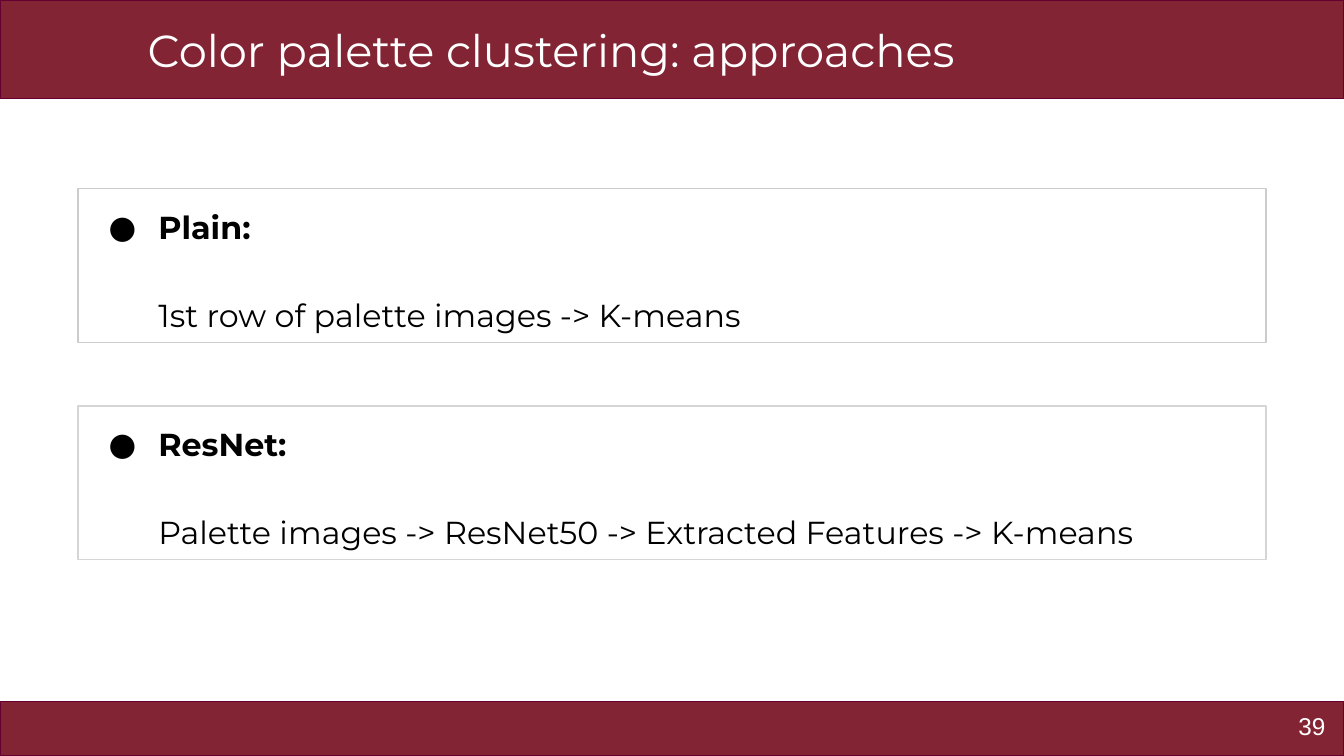
from dataclasses import dataclass

from lxml import etree
from pptx import Presentation
from pptx.dml.color import RGBColor
from pptx.enum.shapes import MSO_SHAPE
from pptx.enum.text import MSO_ANCHOR, PP_ALIGN
from pptx.oxml.ns import qn
from pptx.util import Emu, Pt

RECT = MSO_SHAPE.RECTANGLE
TOP, MIDDLE = MSO_ANCHOR.TOP, MSO_ANCHOR.MIDDLE
LEFT, RIGHT = PP_ALIGN.LEFT, PP_ALIGN.RIGHT

MAROON = RGBColor(0x82, 0x24, 0x33)
PLUM = RGBColor(0x66, 0x00, 0x32)
GREY = RGBColor(0xCC, 0xCC, 0xCC)
LIGHT_GREY = RGBColor(0xD5, 0xD5, 0xD5)
BLACK = RGBColor(0, 0, 0)
WHITE = RGBColor(0xFF, 0xFF, 0xFF)

EMU_PER_PX = 4572  # 200 px to the inch
WIDTH, HEIGHT = 2000, 1125
HEADER_H, FOOTER_H = 147, 81
INSET = 20
TITLE_INDENT, TEXT_INDENT, BULLET_HANG = 200, 100, 74
CARD_X, CARD_TOP, CARD_W, CARD_H, CARD_STEP = 116, 281, 1768, 229, 323

TITLE = {"name": "Montserrat", "size": Pt(24), "color": WHITE}
NUMBER = {"name": "Arial", "size": Pt(13), "color": WHITE}
BODY = {"name": "Montserrat", "size": Pt(17), "color": BLACK, "bold": False}
HEADING = {**BODY, "bold": True}


@dataclass
class Approach:
    name: str
    steps: str
    border: RGBColor


APPROACHES = [
    Approach("Plain:", "1st row of palette images -> K-means", GREY),
    Approach("ResNet:",
             "Palette images -> ResNet50 -> Extracted Features -> K-means",
             LIGHT_GREY),
]


def px(n: int) -> Emu:
    return Emu(n * EMU_PER_PX)


def add_rect(s, x: int, y: int, w: int, h: int, border: RGBColor, fill=None):
    sp = s.shapes.add_shape(RECT, px(x), px(y), px(w), px(h))
    sp.shadow.inherit = False
    if fill is None:
        sp.fill.background()
    else:
        sp.fill.solid()
        sp.fill.fore_color.rgb = fill
    sp.line.color.rgb = border
    sp.line.width = Pt(0.75)
    return sp


def set_frame(sp, anchor=TOP):
    tf = sp.text_frame
    frame = {"word_wrap": True, "vertical_anchor": anchor}
    for side in ("left", "right", "top", "bottom"):
        frame[f"margin_{side}"] = px(INSET)
    for key, value in frame.items():
        setattr(tf, key, value)
    return tf


def write(p, text: str, fmt: dict, align=LEFT) -> None:
    p.alignment = align
    r = p.add_run()
    r.text = text
    for key, value in fmt.items():
        if key == "color":
            r.font.color.rgb = value
        else:
            setattr(r.font, key, value)


def indent(p, margin: int, first: int = 0) -> None:
    pPr = p._p.get_or_add_pPr()
    pPr.set("marL", str(px(margin)))
    pPr.set("indent", str(px(first)))


def add_bullet(p, char: str, fmt: dict) -> None:
    pPr = p._p.get_or_add_pPr()
    clr = etree.SubElement(pPr, qn("a:buClr"))
    etree.SubElement(clr, qn("a:srgbClr")).set("val", str(fmt["color"]))
    size = str(int(fmt["size"].pt * 100))
    etree.SubElement(pPr, qn("a:buSzPts")).set("val", size)
    etree.SubElement(pPr, qn("a:buFont")).set("typeface", fmt["name"])
    etree.SubElement(pPr, qn("a:buChar")).set("char", char)


def add_card(s, y: int, approach: Approach) -> None:
    tf = set_frame(add_rect(s, CARD_X, y, CARD_W, CARD_H, approach.border))
    head, steps = tf.paragraphs[0], tf.add_paragraph()
    indent(head, TEXT_INDENT, -BULLET_HANG)
    add_bullet(head, "●", HEADING)
    indent(steps, TEXT_INDENT)
    steps.space_before = Pt(23.5)
    for p, text, fmt in ((head, approach.name, HEADING),
                         (steps, approach.steps, BODY)):
        p.line_spacing = 1.15
        write(p, text, fmt)


def main() -> None:
    prs = Presentation()
    prs.slide_width, prs.slide_height = px(WIDTH), px(HEIGHT)
    s = prs.slides.add_slide(prs.slide_layouts[6])

    # Title band
    band = add_rect(s, 0, 0, WIDTH, HEADER_H, PLUM, MAROON)
    p = set_frame(band, MIDDLE).paragraphs[0]
    indent(p, TITLE_INDENT)
    write(p, "Color palette clustering: approaches", TITLE)

    # Footer band and slide number
    add_rect(s, 0, HEIGHT - FOOTER_H, WIDTH, FOOTER_H, PLUM, MAROON)
    number = s.shapes.add_textbox(px(1872), px(1039), px(120), px(86))
    write(set_frame(number).paragraphs[0], "39", NUMBER, RIGHT)

    # Approach cards
    for i, approach in enumerate(APPROACHES):
        add_card(s, CARD_TOP + i * CARD_STEP, approach)

    prs.save("out.pptx")


if __name__ == "__main__":
    main()
